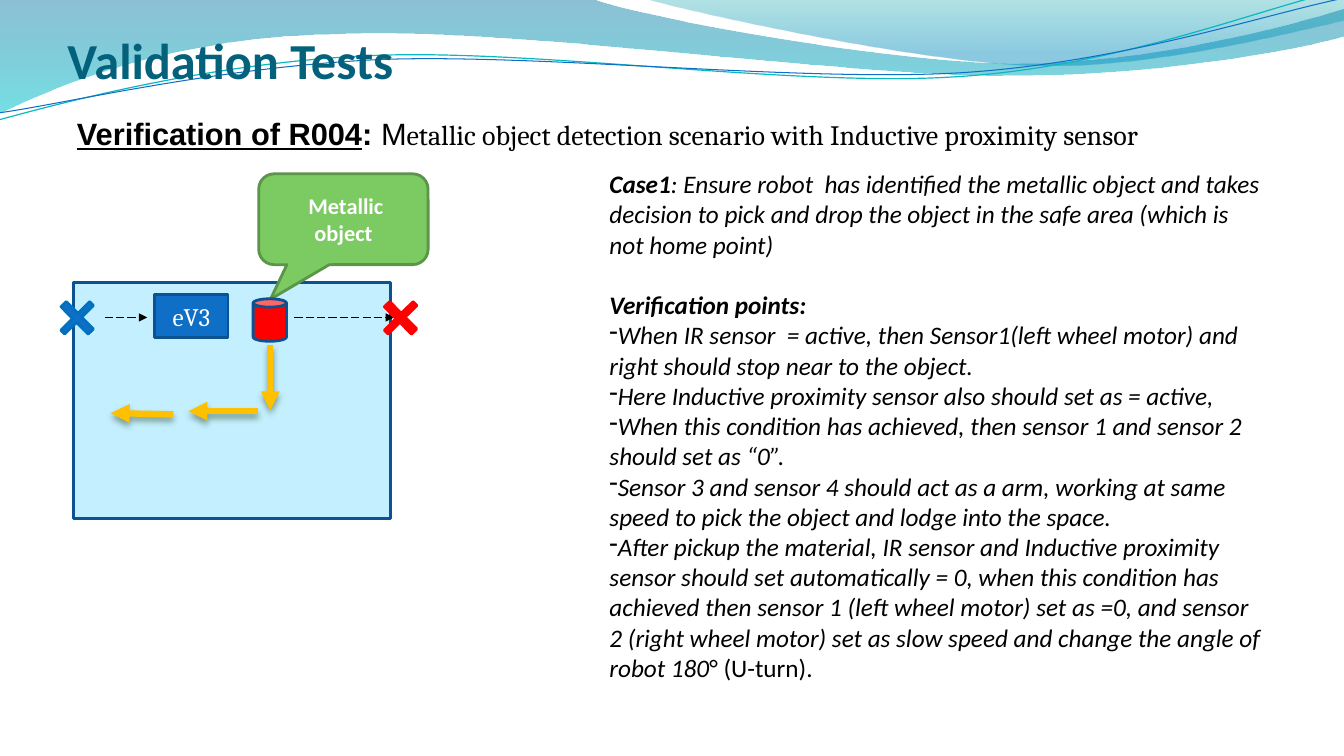
from dataclasses import dataclass, field
from math import cos, radians, sin
from typing import Any

from lxml.etree import SubElement
from pptx import Presentation
from pptx.dml.color import RGBColor
from pptx.enum.dml import MSO_LINE
from pptx.enum.shapes import MSO_CONNECTOR, MSO_SHAPE
from pptx.enum.text import MSO_ANCHOR, MSO_AUTO_SIZE, PP_ALIGN
from pptx.oxml.ns import qn
from pptx.util import Cm, Pt

Point = tuple[float, float]
Format = dict[str, Any]
NAVY, BLUE, RED, AMBER, WHITE, BLACK = "0B5292", "0F6FC6", "FF0000", "FFC000", "FFFFFF", "000000"


@dataclass
class Run:
    text: str
    font: Format


@dataclass
class Paragraph:
    runs: list[Run]
    format: Format = field(default_factory=dict)
    dashed: bool = False


@dataclass
class Wave:
    start: Point
    segments: list[list[Point]]
    stops: tuple = ()
    line: str = ""
    width: float = 0
    tilt: float = 0
    pivot: Point = (0, 0)


@dataclass
class Part:
    kind: MSO_SHAPE
    box: tuple[float, float, float, float]
    fill: str
    line: str
    rotation: float = 0
    adjustments: tuple = ()
    label: Run | None = None


@dataclass
class Arrow:
    begin: Point
    end: Point
    color: str = BLACK
    width: float = 0.75
    dashed: bool = False
    shadow: bool = False


def rgb(value: str) -> RGBColor:
    return RGBColor.from_string(value)


def apply(target: Any, values: Format) -> None:
    for name, value in values.items():
        if name == "color":
            target.color.rgb = rgb(value)
        else:
            setattr(target, name, value)


def set_line(shape: Any, color: str, width: float) -> None:
    shape.line.color.rgb = rgb(color)
    shape.line.width = Pt(width)


def write(frame: Any, paragraphs: list[Paragraph], frame_format: Format) -> None:
    apply(frame, frame_format)
    for index, content in enumerate(paragraphs):
        paragraph = frame.add_paragraph() if index else frame.paragraphs[0]
        apply(paragraph, content.format)
        for item in content.runs:
            run = paragraph.add_run()
            run.text = item.text
            apply(run.font, item.font)
        if content.dashed:
            properties = paragraph._p.get_or_add_pPr()
            properties.set("marL", "0")
            properties.set("indent", "0")
            SubElement(properties, qn("a:buFontTx"))
            SubElement(properties, qn("a:buChar"), char="-")


def add_text(slide: Any, box: tuple, paragraphs: list[Paragraph]) -> None:
    frame = slide.shapes.add_textbox(*map(Cm, box)).text_frame
    write(frame, paragraphs, {"word_wrap": True, "auto_size": MSO_AUTO_SIZE.SHAPE_TO_FIT_TEXT})


def level(point: Point, wave: Wave) -> Point:
    angle = radians(-wave.tilt)
    x, y = point[0] - wave.pivot[0], point[1] - wave.pivot[1]
    return (Cm(wave.pivot[0] + x * cos(angle) - y * sin(angle)),
            Cm(wave.pivot[1] + x * sin(angle) + y * cos(angle)))


def add_wave(slide: Any, wave: Wave) -> None:
    segments = [[level(point, wave) for point in segment] for segment in wave.segments]
    builder = slide.shapes.build_freeform(*level(wave.start, wave))
    builder.add_line_segments([segment[-1] for segment in segments], close=bool(wave.stops))
    shape = builder.convert_to_shape()
    for node, segment in zip(list(shape.element.iter(qn("a:lnTo"))), segments):
        if len(segment) == 3:
            curve = SubElement(node.getparent(), qn("a:cubicBezTo"))
            for x, y in segment:
                SubElement(curve, qn("a:pt"), x=str(x - shape.left), y=str(y - shape.top))
            node.getparent().replace(node, curve)
    shape.rotation = wave.tilt
    shape.shadow.inherit = False
    if not wave.stops:
        shape.fill.background()
        set_line(shape, wave.line, wave.width)
        return
    shape.line.fill.background()
    shape.fill.gradient()
    shape.fill.gradient_angle = 270
    for stop, (position, color, _) in zip(shape.fill.gradient_stops, wave.stops):
        stop.position = position
        stop.color.rgb = rgb(color)
    for node, (_, _, opacity) in zip(shape.element.iter(qn("a:srgbClr")), wave.stops):
        SubElement(node, qn("a:alpha"), val=str(opacity * 1000))


def add_part(slide: Any, part: Part) -> None:
    shape = slide.shapes.add_shape(part.kind, *map(Cm, part.box))
    shape.shadow.inherit = False
    shape.rotation = part.rotation
    for index, value in enumerate(part.adjustments):
        shape.adjustments[index] = value
    shape.fill.solid()
    shape.fill.fore_color.rgb = rgb(part.fill)
    set_line(shape, part.line, 2)
    if part.label:
        write(shape.text_frame, [Paragraph([part.label], {"alignment": PP_ALIGN.CENTER})],
              {"word_wrap": True, "vertical_anchor": MSO_ANCHOR.MIDDLE})


def add_arrow(slide: Any, arrow: Arrow) -> None:
    connector = slide.shapes.add_connector(MSO_CONNECTOR.STRAIGHT, *map(Cm, arrow.begin + arrow.end))
    set_line(connector, arrow.color, arrow.width)
    if arrow.dashed:
        connector.line.dash_style = MSO_LINE.LONG_DASH
    properties = connector.element.find(qn("p:spPr"))
    SubElement(properties.find(qn("a:ln")), qn("a:tailEnd"), type="triangle")
    effects = SubElement(properties, qn("a:effectLst"))
    if arrow.shadow:
        shadow = SubElement(effects, qn("a:outerShdw"), blurRad=str(Pt(4.5)), dist=str(Pt(3)), dir="5400000")
        SubElement(SubElement(shadow, qn("a:srgbClr"), val="2B4821"), qn("a:alpha"), val="48000")


WAVES = [
    Wave((0, 0), [[(14.91, -0.03)], [(16.1, 0.43), (22.48, 1.6), (25.68, 1.6)],
                  [(28.91, 1.6), (32.46, 0.66), (33.86, 0.23)], [(33.91, 0.91)],
                  [(33.3, 1.12), (29.46, 1.93), (25.25, 1.91)], [(21.06, 1.91), (12.93, 0.71), (8.71, 0.86)],
                  [(4.37, 0.91), (1.55, 2.11), (-0.03, 2.87)]], ((0, "0074A1", 45), (1, "00C6CF", 55))),
    Wave((16.23, -0.03), [[(17.25, 0.28), (23.09, 1.57), (26.04, 1.65)],
                          [(28.98, 1.75), (32.56, 0.81), (33.86, 0.53)], [(33.86, 0)]],
         ((0, "00A1A9", 30), (0.8, "008BBF", 45))),
    Wave((-0.03, 3.02), [[(1.63, 2.57), (5.36, 1.57), (9.37, 1.4)], [(13.39, 1.22), (20.07, 2.21), (24.13, 1.93)],
                         [(28.19, 1.68), (31.8, 0.2), (33.81, -0.25)]],
         line="0AB8BF", width=0.85, tilt=-2.7, pivot=(16.89, 1.46)),
    Wave((0, 2.84), [[(1.6, 2.62), (5.54, 1.68), (9.6, 1.5)], [(13.64, 1.35), (20.22, 2.08), (24.26, 1.83)],
                     [(28.32, 1.57), (31.88, 0.36), (33.88, -0.05)]],
         line=BLUE, width=0.75, tilt=-2.7, pivot=(16.94, 1.5)),
]
FIELD = Part(MSO_SHAPE.RECTANGLE, (1.85, 7.11, 8, 5.96), "C4EFFF", NAVY)
ARROWS = [Arrow((left, 8), (right, 8), dashed=True) for left, right in ((2.64, 3.71), (7.42, 9.93))]
ARROWS += [Arrow(begin, end, AMBER, 4.5, shadow=True) for begin, end in (
    ((6.5, 10.36), (4.75, 10.36)), ((4.37, 10.44), (2.79, 10.41)), ((6.81, 8.69), (6.81, 10.34)))]
PARTS = [
    Part(MSO_SHAPE.RECTANGLE, (3.9, 7.43, 1.85, 1.07), BLUE, NAVY,
         label=Run("eV3", {"name": "Cambria", "size": Pt(18), "color": WHITE})),
    Part(MSO_SHAPE.ROUNDED_RECTANGULAR_CALLOUT, (6.52, 4.38, 4.27, 2.29), "7CCA62", "5C9549",
         adjustments=(-0.43, 0.88, 0.17),
         label=Run(" Metallic object", {"name": "Calibri", "size": Pt(16), "bold": True, "color": WHITE})),
    Part(MSO_SHAPE.CAN, (6.38, 7.53, 0.84, 1.07), RED, NAVY),
]
PARTS += [Part(MSO_SHAPE.CROSS, (left, 7.5, 0.97, 1.02), fill, line, 45.3, (0.43,))
          for left, fill, line in ((1.46, BLUE, "0070C0"), (9.61, RED, RED))]

HEADING = {"name": "Arial", "size": Pt(22), "color": BLACK}
PLAIN = {"name": "Calibri", "size": Pt(18), "color": BLACK}
ITALIC = PLAIN | {"italic": True}
STRONG = ITALIC | {"bold": True}
REQUIREMENT = [Paragraph([
    Run("Verification of R004", HEADING | {"bold": True, "underline": True}),
    Run(": ", HEADING | {"bold": True}), Run("M", HEADING),
    Run("etallic object detection scenario with Inductive proximity sensor",
        HEADING | {"name": "Cambria", "size": Pt(20)})])]
CHECKS = [
    "When IR sensor  = active, then Sensor1(left wheel motor) and right should stop near to the object.",
    "Here Inductive proximity sensor also should set as = active,",
    "When this condition has achieved, then sensor 1 and sensor 2 should set as “0”.",
    "Sensor 3 and sensor 4 should act as a arm, working at same speed to pick the object and lodge into the space.",
    "After pickup the material, IR sensor and Inductive proximity sensor should set automatically = 0, when this "
    "condition has achieved then sensor 1 (left wheel motor) set as =0, and sensor 2 (right wheel motor) set as "
    "slow speed and change the angle of robot 180",
]
CASE = [
    Paragraph([Run("Case1", STRONG), Run(
        ": Ensure robot  has identified the metallic object and takes decision to pick and drop the object "
        "in the safe area (which is not home point)", ITALIC)]),
    Paragraph([Run("Verification points:", STRONG)], {"space_before": Pt(21.6)}),
    *(Paragraph([Run(check, ITALIC)], dashed=True) for check in CHECKS),
]
CASE[-1].runs.append(Run("° (U-turn).", PLAIN))


def main() -> None:
    deck = Presentation()
    apply(deck, {"slide_width": Cm(33.87), "slide_height": Cm(19.05)})
    slide = deck.slides.add_slide(deck.slide_layouts[5])
    for wave in WAVES:
        add_wave(slide, wave)
    title = slide.shapes.title
    title.element.getparent().append(title.element)
    apply(title, {"left": Cm(1.7), "top": Cm(0.56), "width": Cm(30.48), "height": Cm(1.7)})
    write(title.text_frame, [Paragraph([Run("Validation Tests", {
        "name": "Calibri", "size": Pt(36), "bold": True, "color": "04617B"})], {"alignment": PP_ALIGN.LEFT})],
        {"vertical_anchor": MSO_ANCHOR.BOTTOM, "auto_size": MSO_AUTO_SIZE.NONE, "margin_left": 0,
         "margin_top": Cm(0.13), "margin_right": 0, "margin_bottom": 0})
    add_text(slide, (1.69, 2.77, 32.18, 1.19), REQUIREMENT)
    add_text(slide, (15.11, 4.12, 16.94, 13.34), CASE)
    for part in [FIELD]:
        add_part(slide, part)
    for arrow in ARROWS:
        add_arrow(slide, arrow)
    for part in PARTS:
        add_part(slide, part)
    deck.save("out.pptx")


if __name__ == "__main__":
    main()
